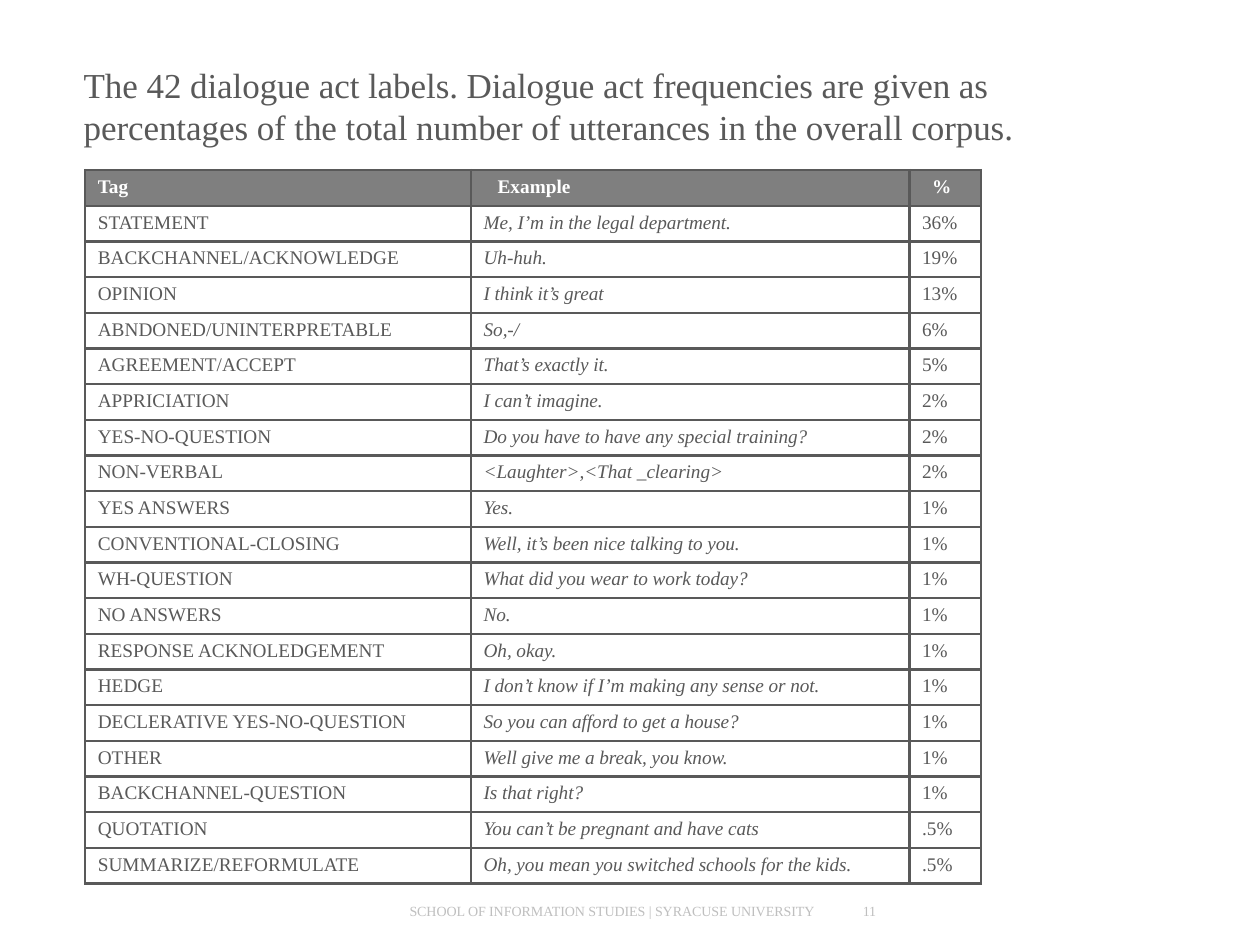
from dataclasses import dataclass

from lxml.etree import SubElement
from pptx import Presentation
from pptx.dml.color import RGBColor
from pptx.enum.text import MSO_ANCHOR, PP_ALIGN
from pptx.oxml.ns import qn
from pptx.slide import Slide
from pptx.util import Pt

DIALOGUE_ACTS = [
    ("STATEMENT", "Me, I’m in the legal department.", "36%"),
    ("BACKCHANNEL/ACKNOWLEDGE", "Uh-huh.", "19%"),
    ("OPINION", "I think it’s great", "13%"),
    ("ABNDONED/UNINTERPRETABLE", "So,-/", "6%"),
    ("AGREEMENT/ACCEPT", "That’s exactly it.", "5%"),
    ("APPRICIATION", "I can’t imagine.", "2%"),
    ("YES-NO-QUESTION", "Do you have to have any special training?", "2%"),
    ("NON-VERBAL", "<Laughter>,<That _clearing>", "2%"),
    ("YES ANSWERS", "Yes.", "1%"),
    ("CONVENTIONAL-CLOSING", "Well, it’s been nice talking to you.", "1%"),
    ("WH-QUESTION", "What did you wear to work today?", "1%"),
    ("NO ANSWERS", "No.", "1%"),
    ("RESPONSE ACKNOLEDGEMENT", "Oh, okay.", "1%"),
    ("HEDGE", "I don’t know if I’m making any sense or not.", "1%"),
    ("DECLERATIVE YES-NO-QUESTION", "So you can afford to get a house?", "1%"),
    ("OTHER", "Well give me a break, you know.", "1%"),
    ("BACKCHANNEL-QUESTION", "Is that right?", "1%"),
    ("QUOTATION", "You can’t be pregnant and have cats", ".5%"),
    ("SUMMARIZE/REFORMULATE", "Oh, you mean you switched schools for the kids.", ".5%"),
]


def color(value):
    """Turn a hex string into a colour."""
    return RGBColor.from_string(value)


@dataclass
class SlideBuilder:
    """Hold the style and the current slide."""

    slide: Slide
    font: str = "Times New Roman"
    ink: str = "595959"
    header_fill: str = "7F7F7F"
    header_ink: str = "FFFFFF"
    footer_ink: str = "BFBFBF"
    border_width: float = 1.5

    def add_text(self, frame, text, size, ink, bold=False, italic=False, spacing=0):
        """Put one styled paragraph into a text frame."""
        paragraph = frame.paragraphs[0]
        run = paragraph.add_run()
        run.text = text
        if spacing:
            run._r.get_or_add_rPr().set("spc", str(round(spacing * 100)))
        paragraph.alignment = PP_ALIGN.LEFT
        font = paragraph.font
        font.name, font.size = self.font, Pt(size)
        font.bold, font.italic = bold, italic
        font.color.rgb = color(ink)
        return paragraph

    def place(self, shape, left, top, width, height, inset_top=0):
        """Position a text shape and set its insets."""
        shape.left, shape.top = Pt(left), Pt(top)
        shape.width, shape.height = Pt(width), Pt(height)
        frame = shape.text_frame
        frame.margin_left = frame.margin_right = frame.margin_bottom = 0
        frame.margin_top = Pt(inset_top)
        frame.vertical_anchor = MSO_ANCHOR.TOP
        frame.word_wrap = True
        return frame

    def title(self, text, left, top, width, height):
        """Fill the title placeholder."""
        frame = self.place(self.slide.shapes.title, left, top, width, height, 1.7)
        paragraph = self.add_text(frame, text, 20, self.ink, spacing=-0.05)
        paragraph.line_spacing = Pt(24)

    def footer(self, text, left, top, width, height, spacing=0):
        """Add a small footer text."""
        shape = self.slide.shapes.add_textbox(0, 0, 0, 0)
        frame = self.place(shape, left, top, width, height)
        self.add_text(frame, text, 8, self.footer_ink, spacing=spacing)

    def borders(self, cell):
        """Draw all four borders of a cell."""
        properties = cell._tc.get_or_add_tcPr()
        for side in ("a:lnL", "a:lnR", "a:lnT", "a:lnB"):
            line = SubElement(properties, qn(side), w=str(Pt(self.border_width)))
            fill = SubElement(line, qn("a:solidFill"))
            SubElement(fill, qn("a:srgbClr"), val=self.ink)

    def cell(self, cell, text, indent, header, italic):
        """Format one table cell and its text."""
        self.borders(cell)
        cell.margin_left, cell.margin_top = Pt(indent), Pt(3.6)
        cell.margin_right = cell.margin_bottom = 0
        cell.vertical_anchor = MSO_ANCHOR.TOP
        if header:
            cell.fill.solid()
            cell.fill.fore_color.rgb = color(self.header_fill)
        else:
            cell.fill.background()
        ink = self.header_ink if header else self.ink
        spacing = -0.05 if italic else 0
        self.add_text(cell.text_frame, text, 11, ink, header, italic, spacing)

    def table(self, header, rows, left, top, widths, row_height):
        """Add the table with a header row."""
        records = [header, *rows]
        table = self.slide.shapes.add_table(
            len(records), len(widths), Pt(left), Pt(top),
            Pt(sum(widths)), Pt(row_height * len(records)),
        ).table
        table.horz_banding = False
        for column, width in zip(table.columns, widths):
            column.width = Pt(width)
        for row_index, record in enumerate(records):
            is_header = row_index == 0
            table.rows[row_index].height = Pt(row_height)
            indents = (7.2, 15.2, 13) if is_header else (7.2, 7.2, 7.2)
            for column_index, (text, indent) in enumerate(zip(record, indents)):
                italic = column_index == 1 and not is_header
                cell = table.cell(row_index, column_index)
                self.cell(cell, text, indent, is_header, italic)


def main():
    """Build the dialogue act slide."""
    presentation = Presentation()
    presentation.slide_width, presentation.slide_height = Pt(720), Pt(540)
    builder = SlideBuilder(presentation.slides.add_slide(presentation.slide_layouts[5]))
    builder.table(("Tag", "Example", "%"), DIALOGUE_ACTS, 48.7, 97.2, (220.5, 250.5, 41), 20.4)
    builder.footer("SCHOOL OF INFORMATION STUDIES | SYRACUSE UNIVERSITY", 234, 515.5, 240, 11, -0.05)
    builder.footer("11", 493, 515.5, 13, 11)
    builder.title(
        "The 42 dialogue act labels. Dialogue act frequencies are given as "
        "percentages of the total number of utterances in the overall corpus.",
        47.8, 34.6, 540, 50,
    )
    presentation.save("out.pptx")


if __name__ == "__main__":
    main()
